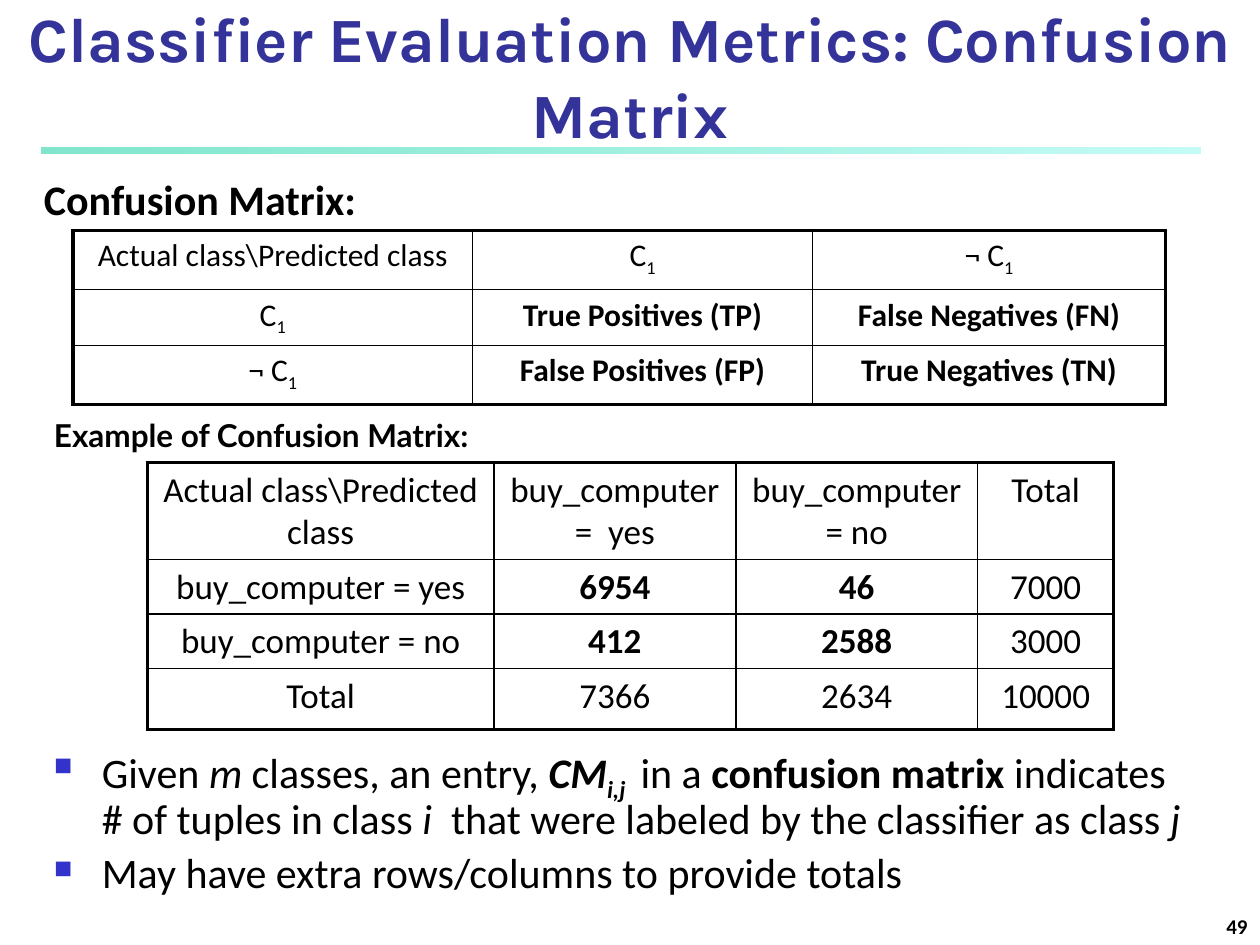
from lxml.etree import SubElement
from pptx import Presentation
from pptx.dml.color import RGBColor as RGB
from pptx.enum.shapes import MSO_SHAPE as Shape
from pptx.enum.text import MSO_ANCHOR as Anchor, MSO_AUTO_SIZE as Auto, PP_ALIGN as Align
from pptx.oxml import parse_xml
from pptx.oxml.ns import nsdecls, qn
from pptx.util import Inches, Pt

BLACK = RGB(0, 0, 0)
NAVY = RGB(0x33, 0x33, 0x99)
BLUE = RGB(0x33, 0x33, 0xCC)
GREEN = RGB(0x00, 0xCE, 0x98)
AQUA = RGB(0x8F, 0xF9, 0xEF)
THICK, THIN = 2.25, 1

C1 = [("C", ""), ("1", "s")]
NOT_C1 = [("¬ C", ""), ("1", "s")]
CLASSES = [
    ["Actual class\\Predicted class", C1, NOT_C1],
    [C1, [("True Positives (TP)", "b")], [("False Negatives (FN)", "b")]],
    [NOT_C1, [("False Positives (FP)", "b")], [("True Negatives (TN)", "b")]],
]
COUNTS = [
    ["Actual class\\Predicted class", "buy_computer =  yes", "buy_computer = no", "Total"],
    ["buy_computer = yes", [("6954", "b")], [("46", "b")], "7000"],
    ["buy_computer = no", [("412", "b")], [("2588", "b")], "3000"],
    ["Total", "7366", "2634", "10000"],
]
NOTES = [
    [("Given", ""), (" m", "i"), (" classes, an entry, ", ""), ("CM", "bi"),
     ("i,j ", "bis"), (" in a ", ""), ("confusion matrix", "b"),
     (" indicates # of tuples in class ", ""), ("i", "i"),
     ("  that were labeled by the classifier as class ", ""), ("j", "i")],
    "May have extra rows/columns to provide totals",
]


def write(para, text, size=24, font="Calibri", color=BLACK, bold=False, align=Align.LEFT):
    """Fill a paragraph with a string or (text, flags) runs: b bold, i italic, s subscript."""
    para.alignment = align
    for part, flags in [(text, "")] if isinstance(text, str) else text:
        run = para.add_run()
        run.text = part
        face = run.font
        face.name, face.size, face.color.rgb = font, Pt(size), color
        face.bold = bold or "b" in flags
        face.italic = "i" in flags
        if "s" in flags:
            run._r.get_or_add_rPr().set("baseline", "-25000")


def add_box(slide, box, wrap=True, anchor=Anchor.TOP):
    """Add an empty text box and return its frame."""
    frame = slide.shapes.add_textbox(*map(Inches, box)).text_frame
    frame.word_wrap, frame.vertical_anchor = wrap, anchor
    return frame


def add_title(slide, box, text):
    """Place the title and the fading rule below it."""
    left, top, width, height = box
    title = slide.shapes.title
    title.left, title.top, title.width, title.height = map(Inches, box)
    frame = title.text_frame
    frame.word_wrap, frame.auto_size = True, Auto.NONE
    frame.vertical_anchor = Anchor.BOTTOM
    write(frame.paragraphs[0], text, size=36, font="Karla", color=NAVY,
          bold=True, align=Align.CENTER)
    rule = slide.shapes.add_shape(
        Shape.RECTANGLE, Inches(left + 0.33), Inches(top + height - 0.08),
        Inches(width - 0.8), Inches(0.05))
    rule.shadow.inherit = False
    rule.line.fill.background()
    rule.fill.gradient()
    rule.fill.gradient_angle = 0
    for stop, color in zip(rule.fill.gradient_stops, (GREEN, AQUA)):
        stop.color.rgb = color
    for node, alpha in zip(rule.element.spPr.iter(qn("a:srgbClr")), (50000, 52000)):
        SubElement(node, qn("a:alpha")).set("val", str(alpha))


def set_edges(cell, outer):
    """Draw cell borders, thick where the cell meets the table edge."""
    props = cell._tc.get_or_add_tcPr()
    for spot, side in enumerate("LRTB"):
        width = Pt(THICK if outer[side] else THIN)
        props.insert(spot, parse_xml(
            f'<a:ln{side} {nsdecls("a")} w="{width}"><a:solidFill>'
            f'<a:srgbClr val="{BLACK}"/></a:solidFill></a:ln{side}>'))


def add_matrix(slide, box, data, cols, rows, size):
    """Add a ruled table of centred cells."""
    grid = slide.shapes.add_table(len(rows), len(cols), *map(Inches, box)).table
    grid.first_row = grid.horz_banding = False
    for col, width in zip(grid.columns, cols):
        col.width = Inches(width)
    for row, height in zip(grid.rows, rows):
        row.height = Inches(height)
    for r, line in enumerate(data):
        for c, text in enumerate(line):
            cell = grid.cell(r, c)
            cell.fill.background()
            set_edges(cell, {"L": c == 0, "R": c == len(cols) - 1,
                             "T": r == 0, "B": r == len(rows) - 1})
            write(cell.text_frame.paragraphs[0], text, size=size, align=Align.CENTER)


def add_notes(slide, box, items):
    """Add the list with square bullets."""
    frame = add_box(slide, box)
    for n, text in enumerate(items):
        para = frame.add_paragraph() if n else frame.paragraphs[0]
        para.line_spacing = 0.9
        if n:
            para.space_before = Pt(4.8)
        props = para._p.get_or_add_pPr()
        props.set("marL", str(Inches(0.38)))
        props.set("indent", str(-Inches(0.38)))
        color = SubElement(props, qn("a:buClr"))
        SubElement(color, qn("a:srgbClr")).set("val", str(BLUE))
        SubElement(props, qn("a:buSzPct")).set("val", "60000")
        SubElement(props, qn("a:buChar")).set("char", "■")
        write(para, text)


def add_label(slide, box, text, wrap=True, anchor=Anchor.TOP, **style):
    """Add one bold line of text."""
    frame = add_box(slide, box, wrap, anchor)
    write(frame.paragraphs[0], text, bold=True, **style)


def main():
    """Build the slide and save it."""
    deck = Presentation()
    deck.slide_width, deck.slide_height = Inches(10), Inches(7.5)
    slide = deck.slides.add_slide(deck.slide_layouts[5])
    add_title(slide, (0, 0, 10, 1.25), "Classifier Evaluation Metrics: Confusion Matrix")
    add_label(slide, (0.25, 1.33, 2.85, 0.5), "Confusion Matrix:")
    add_matrix(slide, (0.58, 1.83, 8.67, 1.36), CLASSES,
               (3.17, 2.7, 2.8), (0.47, 0.42, 0.47), 18)
    add_label(slide, (0.33, 3.25, 3.9, 0.4), "Example of Confusion Matrix:",
              wrap=False, size=18, font="Lato")
    add_matrix(slide, (1.17, 3.67, 7.67, 2.11), COUNTS,
               (2.75, 1.92, 1.92, 1.08), (0.77, 0.43, 0.43, 0.48), 20)
    add_notes(slide, (0.33, 5.88, 9.25, 1.38), NOTES)
    add_label(slide, (7.92, 7.08, 2.08, 0.42), "49", anchor=Anchor.BOTTOM,
              size=12, align=Align.RIGHT)
    deck.save("out.pptx")


if __name__ == "__main__":
    main()
